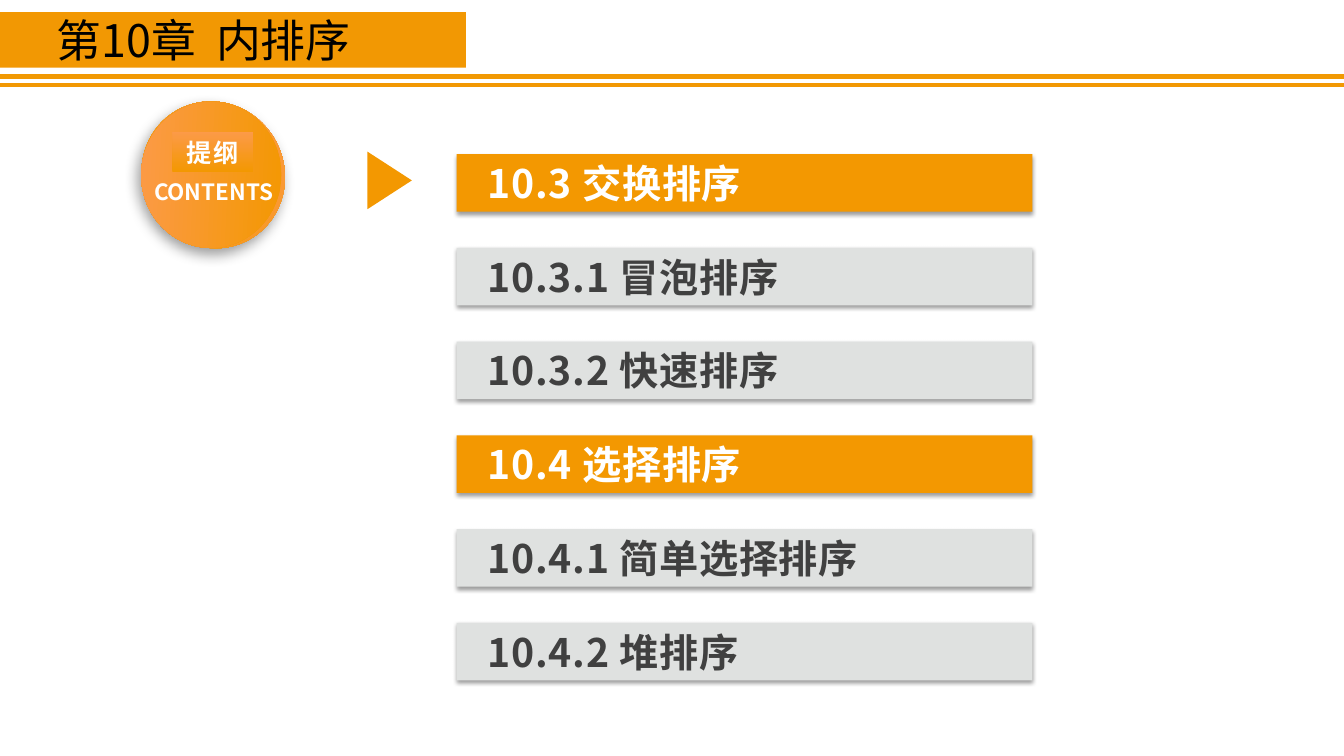
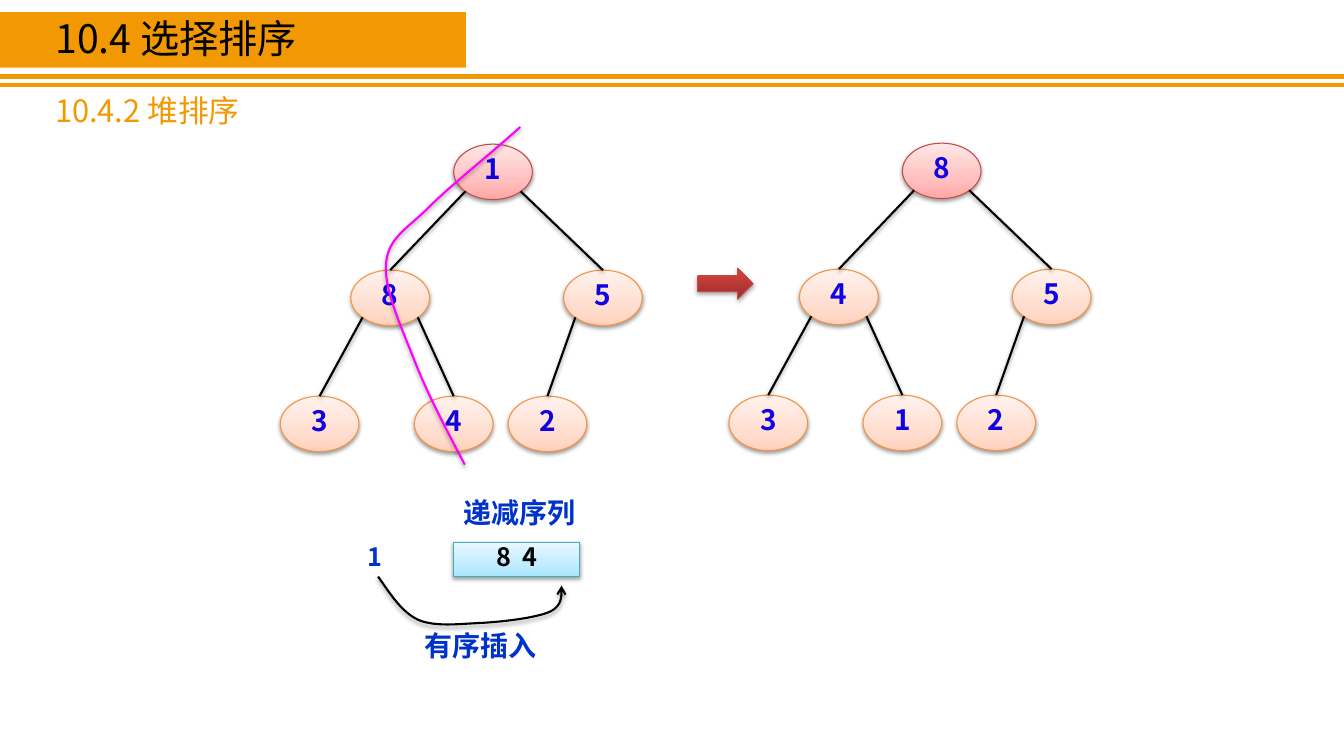
"""Build two slides on selection sorting: a chapter outline and a heap sort step."""
import lxml.etree
import pptx
import pptx.dml.color
import pptx.enum.shapes
import pptx.enum.text
import pptx.oxml.ns
import pptx.util

Inches, Pt = pptx.util.Inches, pptx.util.Pt
SHAPE = pptx.enum.shapes.MSO_SHAPE
ALIGN = pptx.enum.text.PP_ALIGN
ANCHOR = pptx.enum.text.MSO_ANCHOR
qn = pptx.oxml.ns.qn

FONT = "Noto Sans CJK SC"
WIDTH, HEIGHT = 13.33, 7.5
COLORS = {
    "band": "F29803", "rule": "F19903", "bar": "F39801", "gray": "DFE1E0",
    "white": "FFFFFF", "dark": "404040", "black": "000000", "key": "1000E4",
    "blue": "0033CC", "magenta": "FF00FF", "red_line": "BF4C48",
    "orange_line": "F69240", "cyan_line": "46AAC5",
}
GRADIENTS = {
    "badge": [(0, "F39801"), (100, "FC9A48")],
    "root": [(0, "FFA6A5"), (35, "FFC0BF"), (100, "FFE7E7")],
    "node": [(0, "FFD2BD"), (35, "FFDED0"), (100, "FFF2ED")],
    "arrow": [(0, "9C2F2D"), (80, "CB3E3A"), (100, "CE3B37")],
    "sequence": [(0, "A7E6FF"), (35, "C1EDFF"), (100, "E7F8FF")],
}
SOFT = {"alpha": 38, "blur": 3.1, "dist": 1.6, "angle": 90}
ARROW_SHADOW = {"alpha": 35, "blur": 3.1, "dist": 1.8, "angle": 90}
BADGE_SHADOW = {"alpha": 39, "blur": 10, "dist": 5, "angle": 123}

OUTLINE = [
    ("10.3 交换排序", True), ("10.3.1 冒泡排序", False), ("10.3.2 快速排序", False),
    ("10.4 选择排序", True), ("10.4.1 简单选择排序", False), ("10.4.2 堆排序", False),
]
BAR_TOP, BAR_PITCH = 1.53, 0.93

HEAPS = [(2.78, 1.43, "185342"), (7.23, 1.42, "845312")]
NODE_LEFTS = [1.72, 0.7, 2.81, 0, 1.33, 2.26]
NODE_W, NODE_H, LEVEL_PITCH = 0.78, 0.55, 1.25
EDGE_INSET = 0.15

PATH_CUT = [
    (5.16, 1.26), (4.84, 1.55), (4.48, 1.83), (4.26, 2.05), (4.04, 2.27),
    (3.86, 2.35), (3.83, 2.6), (3.8, 2.85), (3.97, 3.22), (4.1, 3.55),
    (4.23, 3.89), (4.42, 4.25), (4.61, 4.61),
]
INSERT_CURVE = [
    (3.75, 5.72), (3.87, 5.89), (3.98, 6.07), (4.15, 6.15), (4.32, 6.22),
    (4.55, 6.19), (4.76, 6.18), (4.98, 6.17), (5.31, 6.13), (5.45, 6.07),
    (5.58, 6.01), (5.57, 5.91), (5.57, 5.81),
]
LABELS = [
    ("1", (3.48, 5.38, 0.47, 0.34), {"size": 18, "align": ALIGN.CENTER}),
    ("递减序列", (4.5, 4.93, 1.56, 0.37), {"size": 20}),
    ("有序插入", (4.11, 6.25, 1.41, 0.37), {"size": 20}),
]


def rgb(name):
    return pptx.dml.color.RGBColor.from_string(COLORS[name])


def add_xml(parent, tag, **attributes):
    values = {key: str(value) for key, value in attributes.items()}
    return lxml.etree.SubElement(parent, qn(tag), values)


def set_effects(item, shadow=None):
    effects = add_xml(item.element.spPr, "a:effectLst")
    if shadow:
        outer = add_xml(effects, "a:outerShdw", blurRad=Pt(shadow["blur"]),
                        dist=Pt(shadow["dist"]), dir=shadow["angle"] * 60000,
                        algn="ctr", rotWithShape=0)
        black = add_xml(outer, "a:srgbClr", val=COLORS["black"])
        add_xml(black, "a:alpha", val=shadow["alpha"] * 1000)


def set_line(item, color, width):
    item.line.color.rgb = rgb(color)
    item.line.width = Pt(width)


def set_gradient(item, stops):
    item.fill.gradient()
    item.fill.gradient_angle = 90
    stop_list = item.element.spPr.find(".//" + qn("a:gsLst"))
    for stop in list(stop_list):
        stop_list.remove(stop)
    for position, color in stops:
        add_xml(add_xml(stop_list, "a:gs", pos=position * 1000), "a:srgbClr", val=color)


def write_text(item, text, size=20, color="black", bold=False, align=ALIGN.LEFT,
               anchor=ANCHOR.TOP, line_spacing=None, letter_spacing=0, left_inset=0.1):
    frame = item.text_frame
    frame.word_wrap = True
    frame.auto_size = pptx.enum.text.MSO_AUTO_SIZE.NONE
    frame.vertical_anchor = anchor
    frame.margin_left = Inches(left_inset)
    paragraph = frame.paragraphs[0]
    paragraph.alignment = align
    if line_spacing:
        paragraph.line_spacing = line_spacing
    run = paragraph.add_run()
    run.text = text
    font = run.font
    font.size, font.bold, font.name = Pt(size), bold, FONT
    font.color.rgb = rgb(color)
    properties = run.font._element
    add_xml(properties, "a:ea", typeface=FONT)
    if letter_spacing:
        properties.set("spc", str(int(letter_spacing * 100)))


def add_figure(slide, kind, box, fill, line=None, shadow=None, rotation=0):
    figure = slide.shapes.add_shape(kind, *map(Inches, box))
    figure.rotation = rotation
    if fill in GRADIENTS:
        set_gradient(figure, GRADIENTS[fill])
    else:
        figure.fill.solid()
        figure.fill.fore_color.rgb = rgb(fill)
    if line:
        set_line(figure, line, 0.75)
    else:
        figure.line.fill.background()
    set_effects(figure, shadow)
    return figure


def add_label(slide, text, box, **text_format):
    write_text(slide.shapes.add_textbox(*map(Inches, box)), text, **text_format)


def add_straight(slide, start, end, color="black", width=1.5, shadow=None):
    straight = slide.shapes.add_connector(
        pptx.enum.shapes.MSO_CONNECTOR.STRAIGHT, *map(Inches, (*start, *end)))
    set_line(straight, color, width)
    set_effects(straight, shadow)
    return straight


def add_curve(slide, controls, color, arrow=False, steps=16):
    points = []
    for first in range(0, len(controls) - 1, 3):
        a, b, c, d = controls[first:first + 4]
        for step in range(1, steps + 1):
            t = step / steps
            u = 1 - t
            points.append([Inches(u**3 * p + 3 * u * u * t * q + 3 * u * t * t * r + t**3 * s)
                           for p, q, r, s in zip(a, b, c, d)])
    builder = slide.shapes.build_freeform(*map(Inches, controls[0]))
    builder.add_line_segments(points, close=False)
    curve = builder.convert_to_shape()
    curve.fill.background()
    set_line(curve, color, 1.5)
    if arrow:
        add_xml(curve.element.spPr.find(qn("a:ln")), "a:tailEnd", type="arrow")
    set_effects(curve, SOFT)


def add_title(slide, text, box, size):
    title = slide.shapes.title
    title.left, title.top, title.width, title.height = map(Inches, box)
    write_text(title, text, size=size, line_spacing=0.8)


def decorate_layout(layout, slide):
    for holder in list(layout.placeholders):
        if holder.placeholder_format.idx >= 10:
            layout.shapes.element.remove(holder.element)
    parts = [add_straight(slide, (0, y), (WIDTH, y), color, 3)
             for y, color in ((0.76, "rule"), (0.84, "band"))]
    parts.append(add_figure(slide, SHAPE.RECTANGLE, (0, 0.12, 4.62, 0.55), "band"))
    for part in parts:
        layout.shapes.element.insert(2, part.element)


def build_outline(slide):
    add_title(slide, "第10章  内排序", (0.46, 0.18, 7.62, 0.53), 32)
    for row, (heading, is_section) in enumerate(OUTLINE):
        bar = add_figure(slide, SHAPE.RECTANGLE, (4.53, BAR_TOP + row * BAR_PITCH, 5.71, 0.57),
                         "bar" if is_section else "gray", shadow=SOFT)
        write_text(bar, heading, size=28, bold=True, letter_spacing=0.5, left_inset=0.31,
                   color="white" if is_section else "dark")
    add_figure(slide, SHAPE.OVAL, (1.38, 1.03, 1.47, 1.41), "badge",
               shadow=BADGE_SHADOW, rotation=62.3)
    add_figure(slide, SHAPE.OVAL, (1.37, 1.04, 1.45, 1.39), "badge", rotation=273)
    badge_text = {"color": "white", "bold": True, "align": ALIGN.CENTER}
    add_label(slide, "CONTENTS", (1.31, 1.72, 1.62, 0.37), size=16, **badge_text)
    caption = add_figure(slide, SHAPE.RECTANGLE, (1.71, 1.31, 0.8, 0.4), "badge")
    write_text(caption, "提纲", size=18, letter_spacing=1.5, **badge_text)
    add_figure(slide, SHAPE.ISOSCELES_TRIANGLE, (3.58, 1.57, 0.57, 0.44), "bar", rotation=90)


def add_heap(slide, left, top, keys):
    corners = [(left + x, top + LEVEL_PITCH * ((i + 1).bit_length() - 1))
               for i, x in enumerate(NODE_LEFTS)]
    for i, (key, (x, y)) in enumerate(zip(keys, corners)):
        node = add_figure(slide, SHAPE.OVAL, (x, y, NODE_W, NODE_H), "node" if i else "root",
                          line="orange_line" if i else "red_line", shadow=SOFT)
        write_text(node, key, color="key", bold=True, align=ALIGN.CENTER,
                   anchor=ANCHOR.MIDDLE, line_spacing=0.8)
    for i, (x, y) in enumerate(corners[1:], 1):
        parent_x, parent_y = corners[(i - 1) // 2]
        across = EDGE_INSET if i % 2 else 1 - EDGE_INSET
        start = (parent_x + NODE_W * across, parent_y + NODE_H * (1 - EDGE_INSET))
        add_straight(slide, start, (x + NODE_W / 2, y), shadow=SOFT)


def build_heap_sort(slide):
    add_title(slide, "10.4 选择排序", (0.45, 0.18, 3.8, 0.48), 28)
    add_label(slide, "10.4.2 堆排序", (0.45, 0.93, 4.8, 0.4), size=22, color="band",
              line_spacing=0.8)
    for heap in HEAPS:
        add_heap(slide, *heap)
    add_curve(slide, PATH_CUT, "magenta")
    add_figure(slide, SHAPE.RIGHT_ARROW, (6.92, 2.66, 0.55, 0.31), "arrow",
               line="red_line", shadow=ARROW_SHADOW)
    sequence = add_figure(slide, SHAPE.RECTANGLE, (4.5, 5.38, 1.25, 0.34), "sequence",
                          line="cyan_line", shadow=SOFT)
    write_text(sequence, "8  4", size=18, bold=True, align=ALIGN.CENTER, line_spacing=0.8)
    add_curve(slide, INSERT_CURVE, "black", arrow=True)
    for text, box, text_format in LABELS:
        add_label(slide, text, box, color="blue", bold=True, line_spacing=0.8, **text_format)


def main():
    deck = pptx.Presentation()
    deck.slide_width, deck.slide_height = Inches(WIDTH), Inches(HEIGHT)
    layout = deck.slide_layouts[5]
    outline, heap_sort = [deck.slides.add_slide(layout) for _ in range(2)]
    decorate_layout(layout, outline)
    build_outline(outline)
    build_heap_sort(heap_sort)
    deck.save("out.pptx")


if __name__ == "__main__":
    main()
